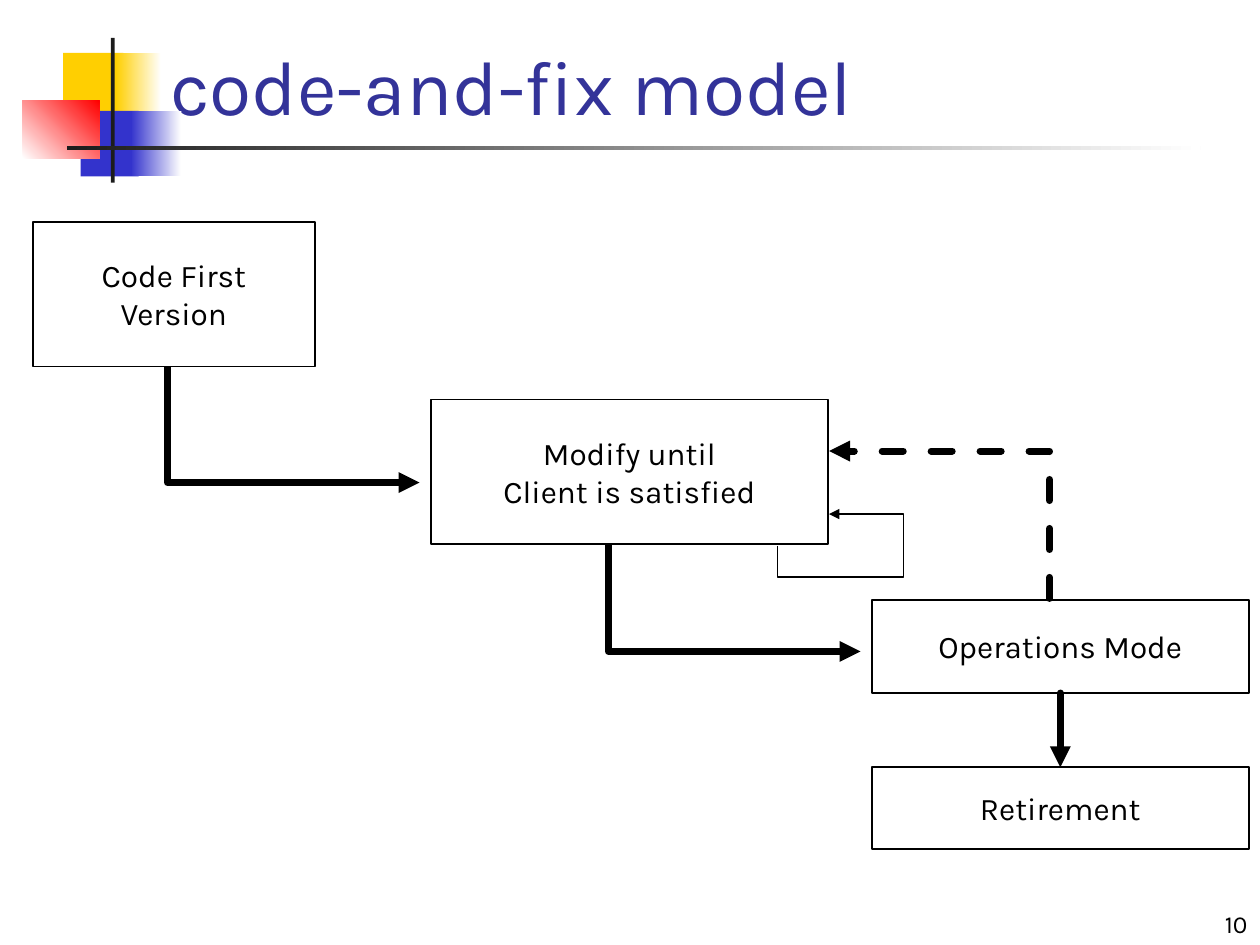
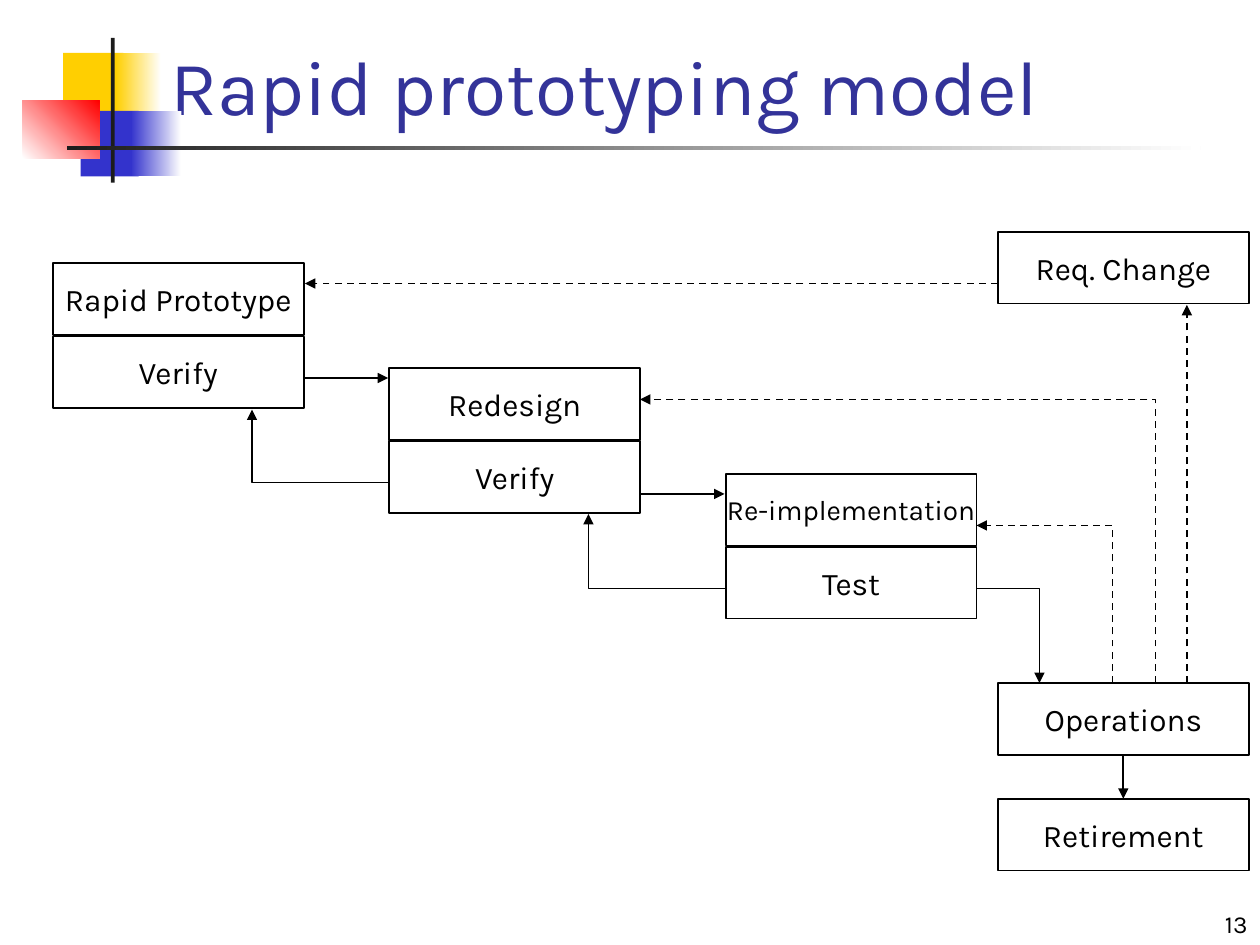
from lxml.etree import SubElement
from pptx import Presentation
from pptx.dml.color import RGBColor
from pptx.enum.dml import MSO_LINE
from pptx.enum.shapes import MSO_CONNECTOR as CONNECTOR, MSO_SHAPE as SHAPE
from pptx.enum.text import MSO_ANCHOR as ANCHOR, MSO_AUTO_SIZE as AUTO_SIZE, PP_ALIGN as ALIGN
from pptx.oxml.ns import qn
from pptx.util import Inches, Pt

COLORS = {
    "paper": "FFFFFF",
    "ink": "000000",
    "title": "333399",
    "yellow": "FFCF01",
    "blue": "3333CC",
    "red": "FF0000",
    "rule": "1C1C1C",
}
FONT = "Karla"
ORNAMENT = [
    ((0.5, 0.42, 0.48, 0.52), ["yellow"], 0),
    ((0.92, 0.42, 0.36, 0.52), ["yellow", "paper"], 0),
    ((0.64, 0.88, 0.46, 0.52), ["blue"], 0),
    ((1.04, 0.88, 0.4, 0.52), ["blue", "paper"], 0),
    ((0.18, 0.8, 0.61, 0.46), ["paper", "red"], 45),
    ((0.88, 0.3, 0.03, 1.15), ["rule"], 0),
    ((0.53, 1.16, 9, 0.03), ["rule", "paper"], 0),
]
TITLE_AREA = (1.25, 0.17, 8.53, 0.92)
NUMBER_AREA = (8.5, 7, 1.5, 0.5)
THIN, THICK = 1, 4


def color(name):
    """Return the named colour."""
    return RGBColor.from_string(COLORS[name])


def inches(values):
    """Convert a sequence of numbers to lengths."""
    return [Inches(value) for value in values]


class Deck:
    """Hold the shared style and the slide being built."""

    def __init__(self):
        """Open an empty 10 by 7.5 inch presentation."""
        self.presentation = Presentation()
        self.presentation.slide_width = Inches(10)
        self.presentation.slide_height = Inches(7.5)
        self.slide = None

    def add_slide(self, title, number):
        """Start a slide with its ornament, page number and title."""
        layout = self.presentation.slide_layouts[5]
        self.slide = self.presentation.slides.add_slide(layout)
        for area, fill_names, angle in ORNAMENT:
            self.block(area, fill_names, angle)
        number_box = self.slide.shapes.add_textbox(*inches(NUMBER_AREA))
        self.set_text(number_box, number, 14, align=ALIGN.RIGHT, anchor=ANCHOR.BOTTOM)
        placeholder = self.slide.shapes.title
        for name, value in zip(("left", "top", "width", "height"), inches(TITLE_AREA)):
            setattr(placeholder, name, value)
        self.set_text(placeholder, title, 44, "title", ALIGN.LEFT, ANCHOR.BOTTOM)

    def set_text(self, shape, text, size, ink="ink", align=ALIGN.CENTER,
                 anchor=ANCHOR.MIDDLE, wrap=True):
        """Put formatted text into a shape."""
        frame = shape.text_frame
        frame.text = text
        frame_format = {"auto_size": AUTO_SIZE.NONE, "word_wrap": wrap, "vertical_anchor": anchor}
        for name, value in frame_format.items():
            setattr(frame, name, value)
        for paragraph in frame.paragraphs:
            paragraph.alignment = align
            for run in paragraph.runs:
                for name, value in {"name": FONT, "size": Pt(size)}.items():
                    setattr(run.font, name, value)
                run.font.color.rgb = color(ink)

    def block(self, area, fill_names, angle=0):
        """Add a borderless rectangle with a plain or gradient fill."""
        shape = self.slide.shapes.add_shape(SHAPE.RECTANGLE, *inches(area))
        shape.shadow.inherit = False
        shape.line.fill.background()
        if len(fill_names) == 1:
            shape.fill.solid()
            shape.fill.fore_color.rgb = color(fill_names[0])
        else:
            shape.fill.gradient()
            shape.fill.gradient_angle = angle
            for stop, name in zip(shape.fill.gradient_stops, fill_names):
                stop.color.rgb = color(name)
        return shape

    def box(self, area, text, size=18):
        """Add an outlined box with centred text."""
        shape = self.block(area, ["paper"])
        shape.line.color.rgb = color("ink")
        shape.line.width = Pt(THIN)
        self.set_text(shape, text, size, wrap=False)
        return shape

    def arrow_line(self, shape, weight, dashed):
        """Style a line and give its end an arrowhead."""
        shape.line.color.rgb = color("ink")
        shape.line.width = Pt(weight)
        if dashed:
            shape.line.dash_style = MSO_LINE.DASH
        outline = shape._element.spPr.find(qn("a:ln"))
        if weight == THICK:
            outline.set("cap", "rnd")
            SubElement(outline, qn("a:round"))
        SubElement(outline, qn("a:tailEnd"), type="triangle")

    def arrow(self, start, end, weight=THIN, dashed=False):
        """Add a straight arrow between two points."""
        connector = self.slide.shapes.add_connector(
            CONNECTOR.STRAIGHT, *inches(start + end))
        self.arrow_line(connector, weight, dashed)
        SubElement(connector._element.spPr, qn("a:effectLst"))
        return connector

    def arrow_down(self, upper, lower, weight=THIN):
        """Join the bottom of one box to the top of the next."""
        connector = self.arrow((0, 0), (1, 1), weight)
        connector.begin_connect(upper, 2)
        connector.end_connect(lower, 0)

    def bent_arrow(self, points, weight=THIN, dashed=False):
        """Add an arrow that turns at each inner point."""
        start, *others = [inches(point) for point in points]
        builder = self.slide.shapes.build_freeform(*start)
        builder.add_line_segments(others, close=False)
        shape = builder.convert_to_shape()
        shape.shadow.inherit = False
        shape.fill.background()
        self.arrow_line(shape, weight, dashed)


def code_and_fix(deck):
    """Build the code-and-fix slide."""
    deck.add_slide("code-and-fix model", "10")
    deck.bent_arrow([(1.33, 2.58), (1.33, 3.83), (3.33, 3.83)], THICK)
    deck.box((0.26, 1.76, 2.24, 1.15), "Code First\nVersion")
    retirement = deck.box((6.92, 6.09, 2.99, 0.65), "Retirement")
    operations = deck.box((6.92, 4.76, 2.99, 0.74), "Operations Mode")
    deck.arrow_down(operations, retirement, THICK)
    deck.bent_arrow([(4.83, 3.92), (4.83, 5.17), (6.83, 5.17)], THICK)
    deck.box((3.42, 3.17, 3.15, 1.15), "Modify until\nClient is satisfied")
    deck.bent_arrow([(6.17, 4.33), (6.17, 4.58), (7.17, 4.58), (7.17, 4.08), (6.58, 4.08)])
    deck.bent_arrow([(8.33, 4.75), (8.33, 3.58), (6.58, 3.58)], THICK, dashed=True)


def rapid_prototyping(deck):
    """Build the rapid prototyping slide."""
    deck.add_slide("Rapid prototyping model", "13")
    width, height, step = 1.99, 0.57, 2.67
    stages = [
        (2.09, "Rapid Prototype", 18, "Verify"),
        (2.92, "Redesign", 18, "Verify"),
        (3.76, "Re-implementation", 16, "Test"),
    ]
    for index, (top, activity, size, check) in enumerate(stages):
        left = 0.42 + index * step
        deck.box((left, top, width, height), activity, size)
        deck.box((left, top + 0.58, width, height), check)
    _, operations, retirement = [
        deck.box((7.92, top, width, height), text)
        for top, text in [(1.84, "Req. Change"), (5.42, "Operations"), (6.34, "Retirement")]
    ]

    for index, (forward, back, stage_bottom) in enumerate([(3, 3.83, 3.25), (3.92, 4.67, 4.08)]):
        shift = index * step
        deck.arrow((2.42 + shift, forward), (3.08 + shift, forward))
        deck.bent_arrow([(3.08 + shift, back), (2 + shift, back), (2 + shift, stage_bottom)])
    deck.bent_arrow([(7.75, 4.67), (8.25, 4.67), (8.25, 5.42)])
    deck.arrow_down(operations, retirement)

    deck.arrow((9.42, 5.42), (9.42, 2.42), dashed=True)
    deck.arrow((7.92, 2.25), (2.42, 2.25), dashed=True)
    for riser, level, stage_right in [(9.17, 3.17, 5.08), (8.83, 4.17, 7.75)]:
        deck.bent_arrow([(riser, 5.42), (riser, level), (stage_right, level)], dashed=True)


def main():
    """Build both slides and save them."""
    deck = Deck()
    code_and_fix(deck)
    rapid_prototyping(deck)
    deck.presentation.save("out.pptx")


if __name__ == "__main__":
    main()
